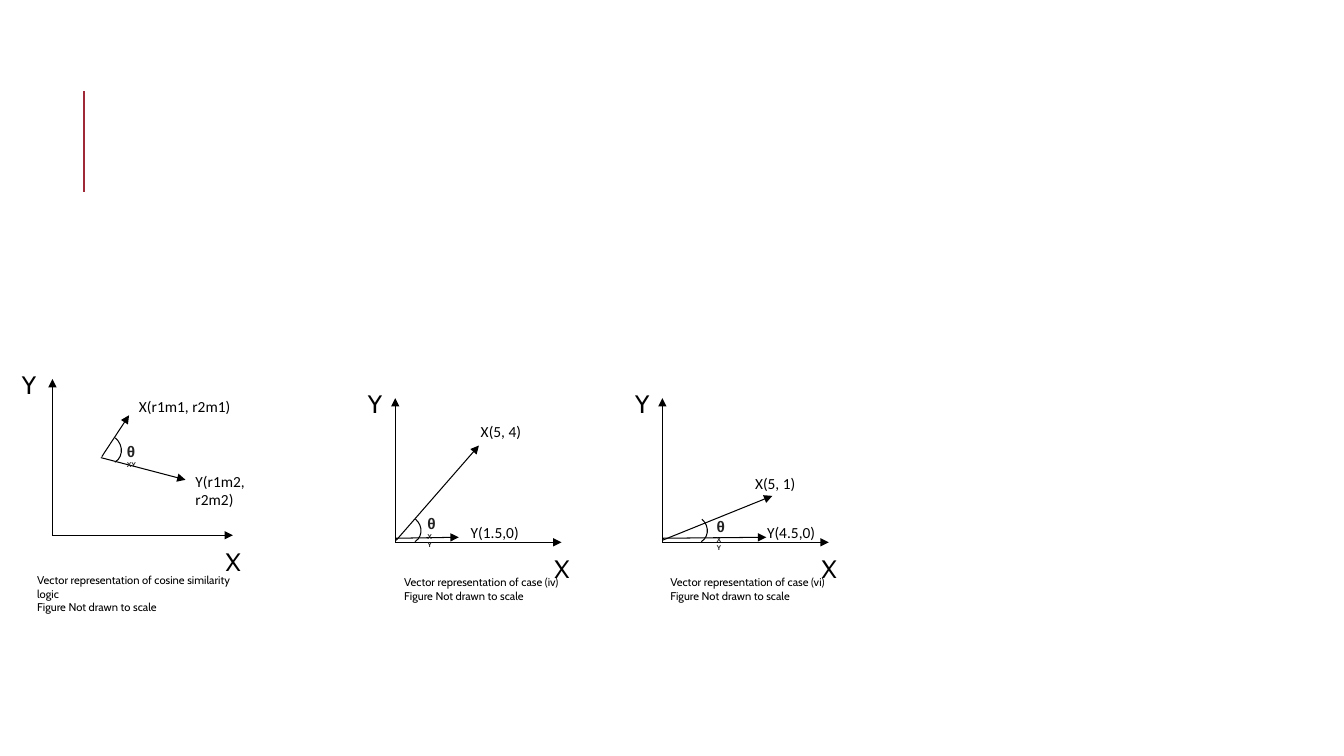
from lxml import etree
from pptx import Presentation
from pptx import util as u
from pptx.dml.color import RGBColor
from pptx.enum import shapes, text
from pptx.oxml.ns import qn

PX = 9144  # EMU per px, 100 px to the inch
BLACK = RGBColor(0x00, 0x00, 0x00)
DARK_GREY = RGBColor(0x22, 0x22, 0x22)
RED = RGBColor(0x9F, 0x29, 0x36)

# Lengths in px; each vector is start point, end point; each label is text, box.
FIGURES = [
    dict(origin=(657, 538), axes=(165, 143), name_size=(37, 30),
         vectors=[((657, 536), (766, 492)), ((657, 534), (760, 533))],
         labels=[("X(5, 1)", (739, 465, 103, 21)),
                 ("Y(4.5,0)", (751, 514, 73, 29))],
         arc=(673, 512, 29, 27), theta=(701, 508, 28, 21),
         caption=("Vector representation of case (vi)", (655, 566, 179, 37))),
    dict(origin=(392, 538), axes=(165, 143), name_size=(37, 30),
         vectors=[((393, 536), (475, 442)), ((393, 534), (455, 533))],
         labels=[("X(5, 4)", (467, 414, 103, 29)),
                 ("Y(1.5,0)", (457, 514, 73, 29))],
         arc=(389, 512, 29, 27), theta=(414, 505, 28, 21),
         caption=("Vector representation of case (iv)", (391, 566, 179, 37))),
    dict(origin=(52, 531), axes=(179, 155), name_size=(40, 32),
         vectors=[((101, 453), (128, 412)), ((100, 454), (184, 476))],
         labels=[("X(r1m1, r2m1)", (128, 389, 111, 23)),
                 ("Y(r1m2, r2m2)", (184, 463, 92, 23))],
         arc=(89, 431, 32, 29), theta=(116, 434, 30, 23),
         caption=("Vector representation of cosine similarity logic",
                  (27, 564, 229, 37))),
]


def emu(lengths):
    return [n * PX for n in lengths]


def add_line(parent, start, end, color=BLACK, width=0.75, arrow=True):
    line = parent.add_connector(shapes.MSO_CONNECTOR.STRAIGHT,
                                *emu(start + end))
    line.line.color.rgb = color
    line.line.width = u.Pt(width)
    if arrow:
        etree.SubElement(line.line._get_or_add_ln(), qn("a:tailEnd"),
                         type="triangle")
    etree.SubElement(line._element.spPr, qn("a:effectLst"))


def add_text(parent, box, paragraphs, font, color=BLACK, bold=False):
    """Add a text box; each paragraph is a list of (text, size) runs."""
    tf = parent.add_textbox(*emu(box)).text_frame
    tf.word_wrap = True
    tf.auto_size = text.MSO_AUTO_SIZE.SHAPE_TO_FIT_TEXT
    for i, runs in enumerate(paragraphs):
        p = tf.add_paragraph() if i else tf.paragraphs[0]
        for words, size in runs:
            r = p.add_run()
            r.text = words
            r.font.name = font
            r.font.size = u.Pt(size)
            r.font.bold = bold
            r.font.color.rgb = color


def add_angle(parent, arc_box, theta_box):
    arc = parent.add_shape(shapes.MSO_SHAPE.ARC, *emu(arc_box))
    arc.adjustments[0] = 162
    arc.adjustments[1] = 9.57
    arc.rotation = 39.8
    arc.shadow.inherit = False
    arc.fill.background()
    arc.line.color.rgb = BLACK
    arc.line.width = u.Pt(0.75)
    add_text(parent, theta_box, [[("θ", 11), ("XY", 5)]], "Arial",
             DARK_GREY, bold=True)


def add_axes(parent, origin, axes, name_size):
    x, y = origin
    length, height = axes
    w, h = name_size
    add_line(parent, origin, (x, y - height))
    add_line(parent, origin, (x + length, y))
    add_text(parent, (x + length - 17, y + 6, w - 4, h), [[("X", 18)]], "Cabin")
    add_text(parent, (x - w, y - height - 15, w, h), [[("Y", 18)]], "Cabin")


def add_figure(s, figure):
    group = s.shapes.add_group_shape().shapes
    add_axes(group, figure["origin"], figure["axes"], figure["name_size"])
    for (start, end), (words, box) in zip(figure["vectors"], figure["labels"]):
        add_line(group, start, end)
        add_text(group, box, [[(words, 11)]], "Calibri")
    add_angle(group, figure["arc"], figure["theta"])
    words, box = figure["caption"]
    add_text(group, box, [[(words, 8)], [("Figure Not drawn to scale", 8)]],
             "Cabin")


def main():
    prs = Presentation()
    prs.slide_width, prs.slide_height = emu((1333, 750))
    s = prs.slides.add_slide(prs.slide_layouts[6])
    add_line(s.shapes, (83, 190), (83, 90), RED, 1.5, arrow=False)
    for figure in FIGURES:
        add_figure(s, figure)
    prs.save("out.pptx")


if __name__ == "__main__":
    main()
